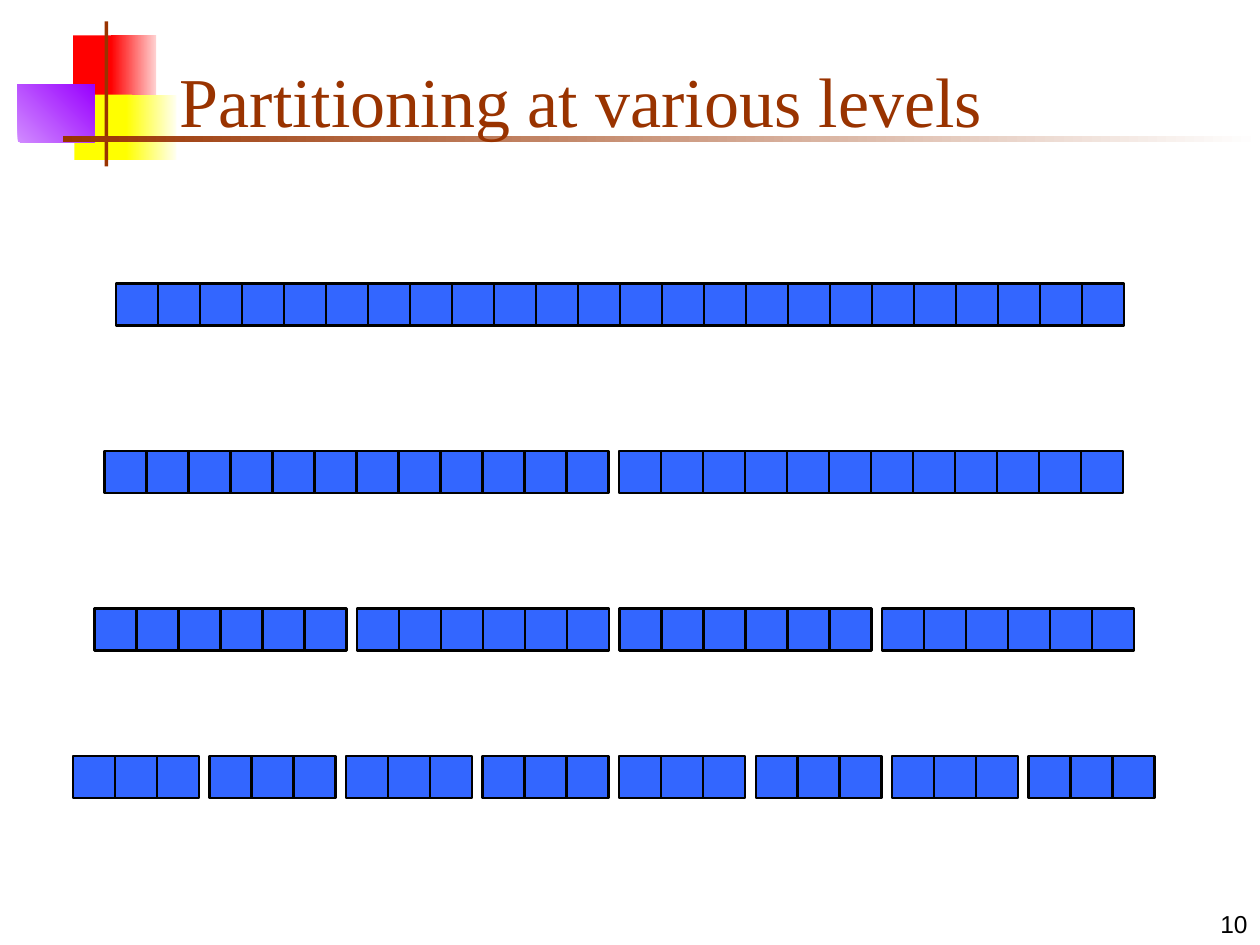
from pptx import Presentation
from pptx.dml.color import RGBColor as RGB
from pptx.enum.shapes import MSO_SHAPE as SHAPE
from pptx.enum.text import MSO_ANCHOR as ANCHOR, PP_ALIGN as ALIGN
from pptx.util import Inches, Pt

THEME = {
    "red": "FF0000", "pink": "FFD1D1",
    "yellow": "FFFF00", "cream": "FFFFF0",
    "lilac": "D18BFF", "purple": "9900FF",
    "brown": "993300", "white": "FFFFFF",
    "cell": "3366FF", "black": "000000",
    "title_font": "Times New Roman", "title_size": 40,
    "number_font": "Arial", "number_size": 14,
    "line_width": 1.25,
}


def add_rect(shapes, box, colors, angle=0):
    sp = shapes.add_shape(SHAPE.RECTANGLE, *[Inches(v) for v in box])
    sp.shadow.inherit = False
    sp.line.fill.background()
    if len(colors) == 1:
        sp.fill.solid()
        sp.fill.fore_color.rgb = RGB.from_string(THEME[colors[0]])
    else:
        sp.fill.gradient()
        sp.fill.gradient_angle = angle
        for stop, color in zip(sp.fill.gradient_stops, colors):
            stop.color.rgb = RGB.from_string(THEME[color])
    return sp


def add_text(shapes, box, text, role, color, align):
    sp = shapes.add_textbox(*[Inches(v) for v in box])
    tf = sp.text_frame
    tf.word_wrap = True
    tf.vertical_anchor = ANCHOR.BOTTOM
    tf.text = text
    p = tf.paragraphs[0]
    p.alignment = align
    font = p.runs[0].font
    font.name = THEME[role + "_font"]
    font.size = Pt(THEME[role + "_size"])
    font.color.rgb = RGB.from_string(THEME[color])


prs = Presentation()
prs.slide_width, prs.slide_height = Inches(10), Inches(7.5)
s = prs.slides.add_slide(prs.slide_layouts[6])

ornaments = [
    ((0.58, 0.28, 0.35, 0.52), ["red"], 0),
    ((0.88, 0.28, 0.36, 0.52), ["red", "pink"], 0),
    ((0.59, 0.75, 0.46, 0.52), ["yellow"], 0),
    ((1, 0.75, 0.4, 0.52), ["yellow", "cream"], 0),
    ((0.14, 0.67, 0.61, 0.46), ["lilac", "purple"], 45),
    ((0.83, 0.17, 0.03, 1.15), ["brown"], 0),
    ((0.5, 1.08, 9.5, 0.05), ["brown", "white"], 0),
]
for box, colors, angle in ornaments:
    add_rect(s.shapes, box, colors, angle)

add_text(s.shapes, (7.92, 7, 2.08, 0.5), "10", "number", "black", ALIGN.RIGHT)
add_text(s.shapes, (1.33, 0.25, 8.52, 0.92), "Partitioning at various levels",
         "title", "brown", ALIGN.LEFT)

CELL_COUNT = 24
CELL = 1 / 3
GAP = CELL / 4
levels = [(0.92, 2.25), (0.83, 3.58), (0.75, 4.83), (0.58, 6)]

for level, (left, top) in enumerate(levels):
    part_size = CELL_COUNT // 2 ** level
    row = s.shapes.add_group_shape()
    row.name = f"Level {level}"
    for i in range(CELL_COUNT):
        x = left + i * CELL + i // part_size * GAP
        sp = add_rect(row.shapes, (x, top, CELL, CELL), ["cell"])
        sp.line.color.rgb = RGB.from_string(THEME["black"])
        sp.line.width = Pt(THEME["line_width"])

prs.save("out.pptx")
